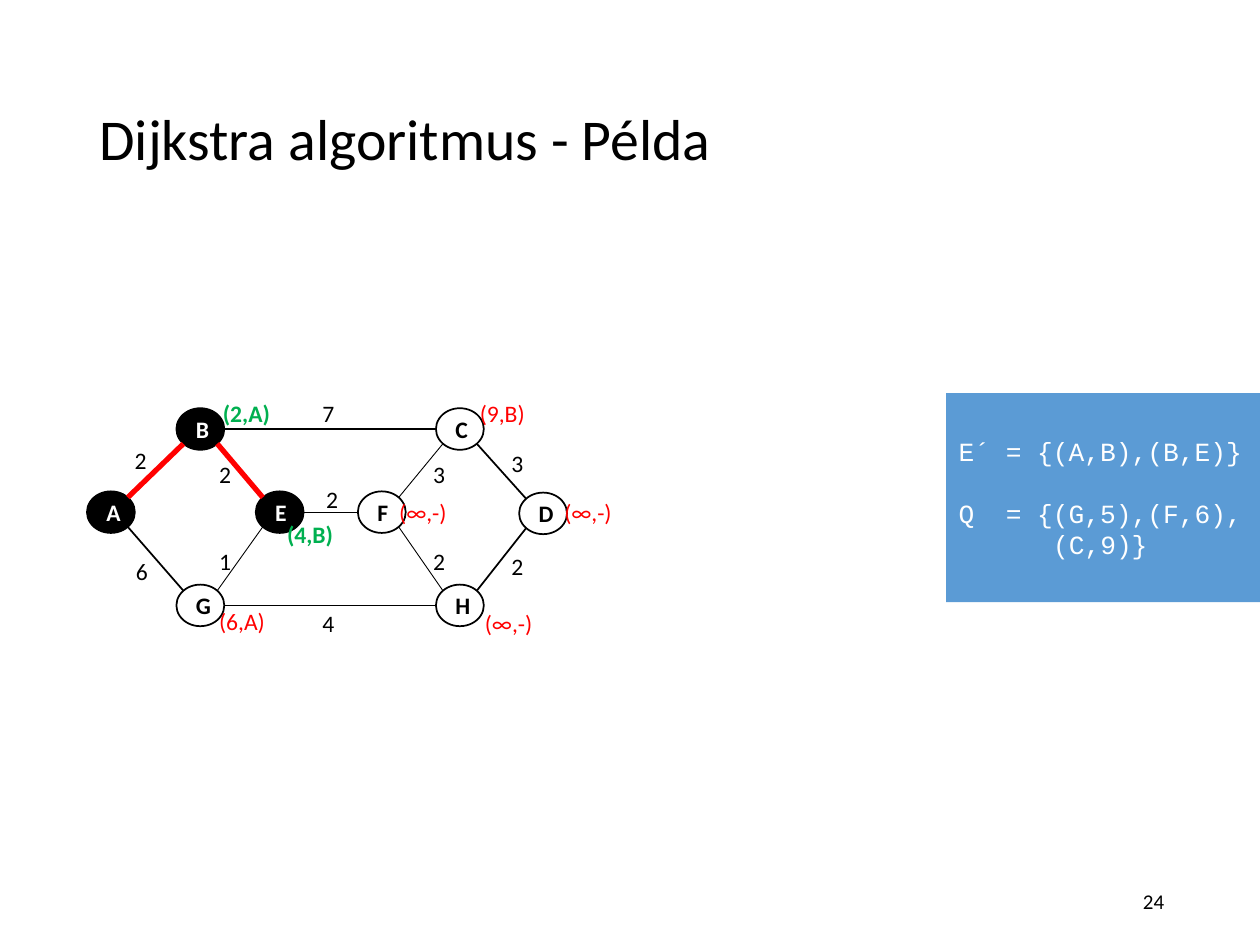
from math import sqrt

from lxml.etree import SubElement
from pptx import Presentation
from pptx.dml.color import RGBColor
from pptx.enum.shapes import MSO_CONNECTOR, MSO_SHAPE
from pptx.enum.text import MSO_ANCHOR, MSO_AUTO_SIZE, PP_ALIGN
from pptx.oxml.ns import qn
from pptx.util import Inches, Pt

COLORS = {"black": "000000", "white": "FFFFFF", "red": "FF0000",
          "green": "00B050", "blue": "5B9BD5"}
NODE_WIDTH, NODE_HEIGHT = 0.38, 0.33
LABEL_HEIGHT = 0.33

# name: (left, top, visited)
NODES = {
    "A": (0.69, 3.9, True), "B": (1.4, 3.24, True),
    "G": (1.4, 4.64, False), "C": (3.46, 3.24, False),
    "H": (3.46, 4.64, False), "D": (4.12, 3.91, False),
    "E": (2.03, 3.9, True), "F": (2.84, 3.9, False),
}

# left node, right node, color, line width
EDGES = [
    ("A", "B", "red", 3), ("A", "G", "black", 1), ("B", "C", "black", 1),
    ("G", "H", "black", 1), ("H", "D", "black", 1), ("C", "D", "black", 1),
    ("B", "E", "red", 3), ("G", "E", "black", 0.5), ("E", "F", "black", 0.5),
    ("F", "C", "black", 0.5), ("F", "H", "black", 0.5),
]

WEIGHTS = [
    ("2", 0.97, 3.49), ("6", 0.98, 4.37), ("1", 1.64, 4.29),
    ("2", 1.64, 3.6), ("7", 2.46, 3.12), ("2", 3.34, 4.29),
    ("3", 3.34, 3.6), ("4", 2.46, 4.78), ("2", 3.96, 4.33),
    ("3", 3.96, 3.51), ("2", 2.49, 3.8),
]

# text, left, top, final
DISTANCES = [
    ("(∞,-)", 3.07, 3.9, False), ("(4,B)", 2.18, 4.08, True),
    ("(6,A)", 1.64, 4.77, False), ("(2,A)", 1.67, 3.12, True),
    ("(9,B)", 3.71, 3.12, False), ("(∞,-)", 4.38, 3.9, False),
    ("(∞,-)", 3.75, 4.78, False),
]


def rgb(name):
    return RGBColor.from_string(COLORS[name])


def write(para, text, size=13.5, font="Calibri", color="black", bold=False,
          align=PP_ALIGN.LEFT):
    para.alignment = align
    span = para.add_run()
    span.text = text
    span.font.size = Pt(size)
    span.font.name = font
    span.font.bold = bold
    span.font.color.rgb = rgb(color)


def add_text(page, text, left, top, width, height, anchor=MSO_ANCHOR.TOP,
             **text_format):
    box = page.shapes.add_textbox(Inches(left), Inches(top), Inches(width), Inches(height))
    frame = box.text_frame
    frame.word_wrap = True
    frame.vertical_anchor = anchor
    write(frame.paragraphs[0], text, **text_format)
    return frame


def add_label(page, text, left, top, width, **text_format):
    """One-line label whose box grows with its text."""
    frame = add_text(page, text, left, top, width, LABEL_HEIGHT, **text_format)
    frame.word_wrap = False
    frame.auto_size = MSO_AUTO_SIZE.SHAPE_TO_FIT_TEXT


def add_filled_shape(page, kind, left, top, width, height, fill):
    shape = page.shapes.add_shape(kind, Inches(left), Inches(top), Inches(width), Inches(height))
    shape.shadow.inherit = False
    shape.fill.solid()
    shape.fill.fore_color.rgb = rgb(fill)
    shape.text_frame.word_wrap = True
    shape.text_frame.vertical_anchor = MSO_ANCHOR.MIDDLE
    return shape


def add_node(page, name, left, top, visited):
    fill, color = ("black", "white") if visited else ("white", "black")
    node = add_filled_shape(page, MSO_SHAPE.OVAL, left, top, NODE_WIDTH, NODE_HEIGHT, fill)
    node.line.color.rgb = rgb("black")
    node.line.width = Pt(1)
    write(node.text_frame.paragraphs[0], name, color=color, bold=True,
          align=PP_ALIGN.CENTER)


def rim_point(name, side, slope):
    """Point on a node's rim: side is -1 left or 1 right, slope -1 up, 0 level or 1 down."""
    left, top, _ = NODES[name]
    reach = 1 / sqrt(2) if slope else 1
    return (left + NODE_WIDTH / 2 * (1 + side * reach),
            top + NODE_HEIGHT / 2 * (1 + slope * reach))


def add_edge(page, start, end, color, width):
    rise = NODES[end][1] - NODES[start][1]
    slope = (rise > 0) - (rise < 0)
    points = rim_point(start, 1, slope) + rim_point(end, -1, -slope)
    edge = page.shapes.add_connector(MSO_CONNECTOR.STRAIGHT, *map(Inches, points))
    edge.line.color.rgb = rgb(color)
    edge.line.width = Pt(width)
    SubElement(edge._element.spPr, qn("a:effectLst"))


def add_state_panel(page):
    """Panel with the chosen edges and the queue."""
    panel = add_filled_shape(page, MSO_SHAPE.RECTANGLE, 7.51, 3.12, 2.5, 1.66, "blue")
    panel.line.fill.background()
    frame = panel.text_frame
    code = {"size": 15, "font": "Courier New", "color": "white"}
    write(frame.paragraphs[0], "E´ = {(A,B),(B,E)}", **code)
    queue = frame.add_paragraph()
    queue.space_before = Pt(17)
    write(queue, "Q  = {(G,5),(F,6),", **code)
    queue_rest = frame.add_paragraph()
    queue_rest._p.get_or_add_pPr().set("marL", str(Inches(0.75)))
    write(queue_rest, "(C,9)}", **code)


def main():
    deck = Presentation()
    deck.slide_width, deck.slide_height = Inches(10), Inches(7.5)
    page = deck.slides.add_slide(deck.slide_layouts[6])

    title = add_text(page, "Dijkstra algoritmus - Példa", 0.69, 0.4, 8.62, 1.45,
                     anchor=MSO_ANCHOR.MIDDLE, size=33)
    title.paragraphs[0].line_spacing = 0.9

    for name, (left, top, visited) in NODES.items():
        add_node(page, name, left, top, visited)
    for edge in EDGES:
        add_edge(page, *edge)
    for text, left, top in WEIGHTS:
        add_label(page, text, left, top, 0.3)
    for text, left, top, final in DISTANCES:
        add_label(page, text, left, top, 0.58,
                  color="green" if final else "red", bold=final)

    add_state_panel(page)
    number = add_text(page, "24", 7.06, 6.95, 2.25, 0.4, anchor=MSO_ANCHOR.MIDDLE,
                      size=12, align=PP_ALIGN.RIGHT)
    number.margin_left = number.margin_right = Inches(0.07)
    number.margin_top = number.margin_bottom = Inches(0.04)
    deck.save("out.pptx")


if __name__ == "__main__":
    main()
